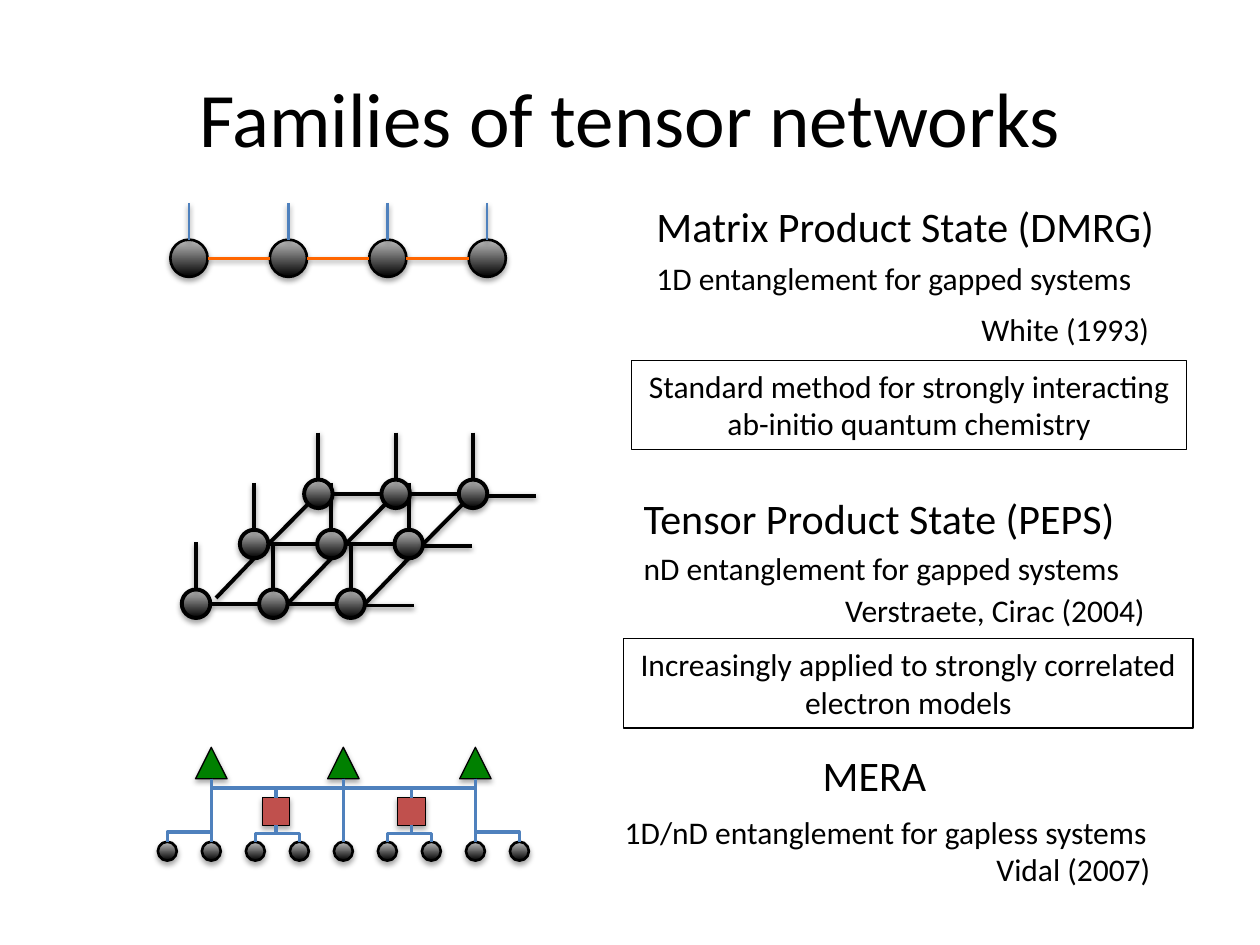
from lxml import etree
from pptx import Presentation
from pptx import util as u
from pptx.dml.color import RGBColor
from pptx.enum import shapes, text
from pptx.oxml import ns

BLACK, BLUE, ORANGE = "000000", "4F81BD", "FF6600"
RED, GREEN, GREY = "C0504D", "008000", "BDBDBD"
LEFT, CENTER = text.PP_ALIGN.LEFT, text.PP_ALIGN.CENTER


def color(hex_code):
    return RGBColor.from_string(hex_code)


def add_child(parent, tag, **attributes):
    child = etree.SubElement(parent, ns.qn(tag))
    for name, value in attributes.items():
        child.set(name, str(value))
    return child


def add_shadow(effects, distance, opacity):
    shadow = add_child(effects, "a:outerShdw", blurRad=u.Pt(3.1), dist=u.Pt(distance),
                       dir=5400000, rotWithShape=0)
    black = add_child(shadow, "a:srgbClr", val=BLACK)
    add_child(black, "a:alpha", val=opacity * 1000)


class Painter:
    font = "Calibri"

    def __init__(self, page):
        self.page = page

    def label(self, words, left, top, width, height, size=18, align=LEFT,
              frame=False, wrap=False, anchor=text.MSO_ANCHOR.TOP):
        box = self.page.shapes.add_textbox(*map(u.Pt, (left, top, width, height)))
        if frame:
            box.line.color.rgb = color(BLACK)
            box.line.width = u.Pt(0.75)
        body = box.text_frame
        body.word_wrap = wrap
        body.vertical_anchor = anchor
        body.auto_size = (text.MSO_AUTO_SIZE.NONE if wrap
                          else text.MSO_AUTO_SIZE.SHAPE_TO_FIT_TEXT)
        for index, line in enumerate(words.split("\n")):
            para = body.add_paragraph() if index else body.paragraphs[0]
            para.alignment = align
            span = para.add_run()
            span.text = line
            span.font.name = self.font
            span.font.size = u.Pt(size)
            span.font.color.rgb = color(BLACK)

    def block(self, kind, x, y, size, line_width=0.75, fill=None):
        """Square-sided shape centred on (x, y); a dark gradient without fill."""
        shape = self.page.shapes.add_shape(
            kind, u.Pt(x - size / 2), u.Pt(y - size / 2), u.Pt(size), u.Pt(size))
        shape.shadow.inherit = False
        if fill:
            shape.fill.solid()
            shape.fill.fore_color.rgb = color(fill)
        else:
            shape.fill.gradient()
            shape.fill.gradient_angle = 90
            for stop, (place, shade) in zip(shape.fill.gradient_stops, ((0, BLACK), (1, GREY))):
                stop.position = place
                stop.color.rgb = color(shade)
        shape.line.color.rgb = color(BLACK)
        shape.line.width = u.Pt(line_width)
        add_shadow(shape._element.spPr.find(ns.qn("a:effectLst")), 1.8, 35)

    def node(self, x, y, size, line_width=1.5):
        self.block(shapes.MSO_SHAPE.OVAL, x, y, size, line_width)

    def wire(self, x1, y1, x2, y2, shade, width, shadow=True,
             kind=shapes.MSO_CONNECTOR.STRAIGHT):
        line = self.page.shapes.add_connector(kind, *map(u.Pt, (x1, y1, x2, y2)))
        line.line.color.rgb = color(shade)
        line.line.width = u.Pt(width)
        effects = add_child(line._element.spPr, "a:effectLst")
        if shadow:
            add_shadow(effects, 1.6, 38)
        return line

    def elbow(self, x1, y1, x2, y2, shade, width, bend=0.5):
        """Wire running down, across and down: a level elbow turned by 90 degrees."""
        middle_x, middle_y = (x1 + x2) / 2, (y1 + y2) / 2
        half_drop, half_run = (y2 - y1) / 2, (x1 - x2) / 2
        line = self.wire(middle_x - half_drop, middle_y - half_run,
                         middle_x + half_drop, middle_y + half_run,
                         shade, width, shadow=False, kind=shapes.MSO_CONNECTOR.ELBOW)
        properties = line._element.spPr
        properties.find(ns.qn("a:xfrm")).set("rot", "5400000")
        guides = properties.find(ns.qn("a:prstGeom")).find(ns.qn("a:avLst"))
        add_child(guides, "a:gd", name="adj1", fmla=f"val {round(bend * 100000)}")


def draw_chain(painter):
    y, size, pitch = 147.6, 21.3, 56.8
    centers = [108 + pitch * i for i in range(4)]
    for x in centers:
        painter.node(x, y, size)
        painter.wire(x, 116, x, y - size / 2, BLUE, 1.5)
    for x in centers[:-1]:
        painter.wire(x + size / 2, y, x + pitch - size / 2, y, ORANGE, 1.5)


def draw_lattice(painter):
    size, pitch, columns = 16.3, 44.2, 3
    radius = size / 2
    front, middle, back = rows = [(112, 345), (145.2, 310.9), (181.9, 282.2)]
    for left, y in rows:
        for column in range(columns):
            x = left + pitch * column
            drop = 1 if column == columns - 1 else 0
            painter.node(x, y, size, 2.25)
            painter.wire(x, y - 35, x, y - radius, BLACK, 2.25)
            painter.wire(x + radius, y + drop, x + pitch - radius, y + drop, BLACK, 2.25)
    for column in range(columns):
        shift = pitch * column
        gap = 0 if column else 3.3
        painter.wire(middle[0] + shift, middle[1] + radius,
                     front[0] + shift + radius + gap, front[1] - gap, BLACK, 2.25)
        painter.wire(back[0] + shift - 5.8, back[1] + 5.8,
                     middle[0] + shift + radius, middle[1], BLACK, 2.25)


def draw_mera(painter):
    leaves = [95.6 + 25.15 * i for i in range(9)]
    tops = leaves[1::3]
    squares = [157.7, 235.1]
    leaf_top, square_top, square_bottom, triangle_bottom = 481, 455.8, 471.6, 445
    for x in leaves:
        painter.node(x, 486.4, 10.8)
    for x in squares:
        painter.block(shapes.MSO_SHAPE.RECTANGLE, x, 463.7, 15.8, fill=RED)
    for x in tops:
        painter.block(shapes.MSO_SHAPE.ISOSCELES_TRIANGLE, x, 436, 18, fill=GREEN)
        painter.wire(x, triangle_bottom, x, leaf_top, BLUE, 2, shadow=False)
    # Outer leaves hang from the outer triangles
    for top, leaf in ((tops[0], leaves[0]), (tops[-1], leaves[-1])):
        painter.elbow(top, triangle_bottom, leaf, leaf_top, BLUE, 2, bend=0.85)
    # Each square joins two triangles above and two leaves below
    for i, x in enumerate(squares):
        for top in tops[i:i + 2]:
            painter.elbow(top, triangle_bottom, x, square_top, BLUE, 2)
        for leaf in leaves[3 * i + 2:3 * i + 4]:
            painter.elbow(x, square_bottom, leaf, leaf_top, BLUE, 2)


def main():
    deck = Presentation()
    deck.slide_width, deck.slide_height = u.Pt(720), u.Pt(540)
    painter = Painter(deck.slides.add_slide(deck.slide_layouts[6]))

    # Title
    painter.label("Families of tensor networks", 36, 21.6, 648, 90, size=44,
                  align=CENTER, wrap=True, anchor=text.MSO_ANCHOR.MIDDLE)

    # Matrix product state
    draw_chain(painter)
    painter.label("Matrix Product State (DMRG)", 368, 111, 303, 36, size=24)
    painter.label("1D entanglement for gapped systems", 368, 144.7, 291, 29)
    painter.label("White (1993)", 553.7, 173.5, 111.6, 29)
    painter.label("Standard method for strongly interacting\nab-initio quantum chemistry",
                  361, 205.9, 317, 51, align=CENTER, frame=True)

    # Tensor product state
    draw_lattice(painter)
    painter.label("Tensor Product State (PEPS)", 360.7, 278, 289.4, 36, size=24)
    painter.label("nD entanglement for gapped systems", 360.7, 310.3, 291.6, 29)
    painter.label("Verstraete, Cirac (2004)", 475.9, 334.1, 190, 29)
    painter.label("Increasingly applied to strongly correlated\nelectron models",
                  356.4, 365, 325.4, 51, align=CENTER, frame=True)

    # MERA
    draw_mera(painter)
    painter.label("MERA", 463, 424.8, 74.2, 36, size=24)
    painter.label("1D/nD entanglement for gapless systems", 346.3, 460.8, 319.7, 29,
                  align=CENTER)
    painter.label("Vidal (2007)", 562.3, 482.4, 103.7, 29)

    deck.save("out.pptx")


if __name__ == "__main__":
    main()
